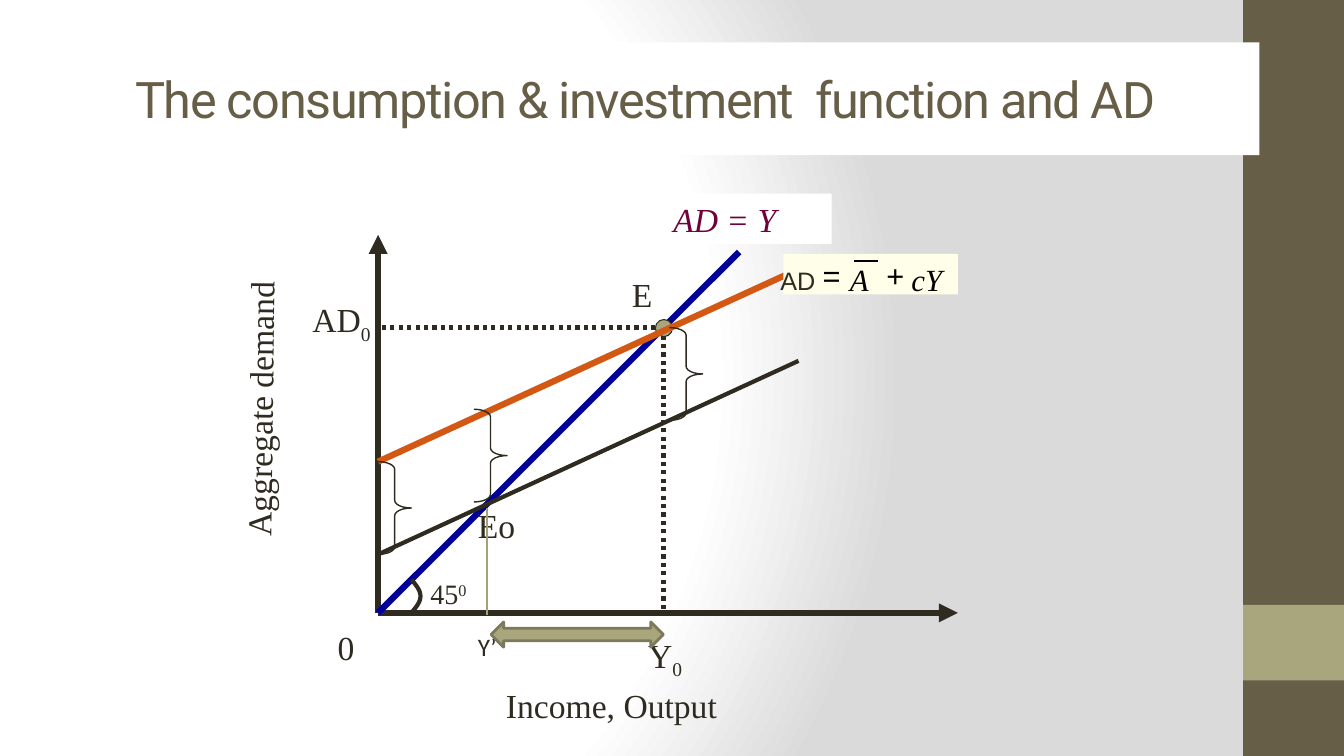
"""Build the slide on consumption, investment and aggregate demand."""
from math import pi, sin
from pptx import Presentation
from pptx.dml.color import RGBColor as RGB
from pptx.enum.dml import MSO_LINE as Dash
from pptx.enum.shapes import MSO_CONNECTOR as Conn, MSO_SHAPE as Kind
from pptx.enum.text import MSO_ANCHOR as Anchor, MSO_AUTO_SIZE as Grow, PP_ALIGN as Align
from pptx.oxml import parse_xml
from pptx.oxml.ns import nsdecls, qn
from pptx.util import Pt

PX = 9144
WHITE = RGB(0xFF, 0xFF, 0xFF)
BLACK = RGB(0, 0, 0)
INK = RGB(0x2F, 0x2B, 0x20)
BROWN = RGB(0x67, 0x5E, 0x47)
SAND = RGB(0xA9, 0xA5, 0x7C)
OLIVE = RGB(0x7D, 0x7A, 0x5C)
KHAKI = RGB(0xA6, 0xA2, 0x78)
NAVY = RGB(0, 0, 0x99)
ORANGE = RGB(0xD2, 0x58, 0x14)
PLUM = RGB(0x70, 0x02, 0x39)
CREAM = RGB(0xFF, 0xFF, 0xE9)
SERIF = "Times New Roman"


def emu(box):
    return [n * PX for n in box]


def shade(slide):
    slide._element.cSld.insert(0, parse_xml(
        f'<p:bg {nsdecls("p", "a")}><p:bgPr><a:gradFill rotWithShape="1"><a:gsLst>'
        f'<a:gs pos="0"><a:srgbClr val="FFFFFF"/></a:gs>'
        f'<a:gs pos="75000"><a:srgbClr val="FFFFFF"/></a:gs>'
        f'<a:gs pos="100000"><a:srgbClr val="DADADA"/></a:gs></a:gsLst>'
        f'<a:path path="circle"><a:fillToRect l="20000" t="50000" r="100000" b="50000"/>'
        f'</a:path></a:gradFill><a:effectLst/></p:bgPr></p:bg>'))


def paint(shape, fill=None, line=None, width=1):
    shape.shadow.inherit = False
    if fill is None:
        shape.fill.background()
    else:
        shape.fill.solid()
        shape.fill.fore_color.rgb = fill
    if line is None:
        shape.line.fill.background()
    else:
        shape.line.color.rgb = line
        shape.line.width = Pt(width)


def form(shapes, kind, box, **look):
    shape = shapes.add_shape(kind, *emu(box))
    paint(shape, **look)
    return shape


def brace(shapes, left, top):
    shape = form(shapes, Kind.RIGHT_BRACE, (left, top, 33, 92), line=INK)
    shape.adjustments[0] = 0.229


def stroke(shapes, ends, color=INK, width=3.0, dash=None, arrow=False):
    line = shapes.add_connector(Conn.STRAIGHT, *emu(ends))
    line.line.color.rgb = color
    line.line.width = Pt(width)
    if dash:
        line.line.dash_style = dash
    props = line._element.spPr
    if arrow:
        props.find(qn("a:ln")).append(parse_xml(f'<a:tailEnd {nsdecls("a")} type="triangle"/>'))
    props.append(parse_xml(f'<a:effectLst {nsdecls("a")}/>'))


def write(shape, text, size=24, face=SERIF, color=INK, slant=False,
          small="", base=0, pitch=0, wrap=True, inset=None, **frame):
    body = shape.text_frame
    look = {"word_wrap": wrap, "auto_size": Grow.SHAPE_TO_FIT_TEXT,
            "vertical_anchor": Anchor.TOP} | frame
    if inset is not None:
        look |= {f"margin_{side}": inset for side in ("left", "top", "right", "bottom")}
    for name, value in look.items():
        setattr(body, name, value)
    para = body.paragraphs[0]
    para.alignment = Align.LEFT
    for part, shift in ((text, 0), (small, base)):
        if not part:
            continue
        run = para.add_run()
        run.text = part
        for name, value in {"size": Pt(size), "name": face, "italic": slant}.items():
            setattr(run.font, name, value)
        run.font.color.rgb = color
        props = run._r.get_or_add_rPr()
        for name, value in {"baseline": shift * 1000, "spc": pitch}.items():
            if value:
                props.set(name, str(value))


def label(shapes, box, text, **look):
    shape = shapes.add_textbox(*emu(box))
    write(shape, text, **look)
    return shape


def angle(shapes):
    dots = [(round((408 + 9 * sin(pi * n / 20)) * PX), round((575 + 1.65 * n) * PX))
            for n in range(21)]
    pen = shapes.build_freeform(*dots[0])
    pen.add_line_segments(dots[1:], close=False)
    paint(pen.convert_to_shape(), line=INK, width=3)


def frame(shapes):
    form(shapes, Kind.RECTANGLE, (1233, 0, 100, 750), fill=BROWN)
    form(shapes, Kind.RECTANGLE, (1233, 600, 100, 75), fill=SAND)
    title = form(shapes, Kind.RECTANGLE, (31, 42, 1218, 112), fill=WHITE)
    write(title, "The consumption & investment  function and AD", size=36, face="Roboto",
          color=BROWN, pitch=-100, auto_size=Grow.NONE, vertical_anchor=Anchor.MIDDLE)
    title.text_frame.paragraphs[0].alignment = Align.CENTER


def axes(shapes):
    for end in ((375, 233), (950, 608)):
        stroke(shapes, (375, 608, *end), width=4.5, arrow=True)
    stroke(shapes, (375, 608, 733, 250), NAVY, 4.5)
    label(shapes, (492, 675, 442, 50), "Income, Output")
    label(shapes, (83, 342, 350, 50), "Aggregate demand").rotation = 270.7
    label(shapes, (325, 617, 67, 50), "0")
    angle(shapes)
    label(shapes, (417, 567, 67, 43), "45", size=20, small="0", base=30)
    write(form(shapes, Kind.RECTANGLE, (658, 192, 167, 50), fill=WHITE),
          "AD = Y", color=PLUM, slant=True)


def curves(shapes):
    form(shapes, Kind.OVAL, (650, 317, 17, 17), fill=SAND, line=INK, width=0.75)
    label(shapes, (300, 292, 92, 50), "AD", small="0", base=-25)
    label(shapes, (617, 267, 50, 50), "E")
    label(shapes, (633, 625, 58, 50), "Y", small="0", base=-25)
    stroke(shapes, (375, 550, 792, 358))
    stroke(shapes, (375, 458, 792, 267), ORANGE, 4.5)
    stroke(shapes, (658, 333, 658, 608), dash=Dash.ROUND_DOT)
    stroke(shapes, (650, 325, 375, 325), dash=Dash.ROUND_DOT)
    brace(shapes, 375, 458)


def formula(shapes):
    form(shapes, Kind.RECTANGLE, (777, 252, 173, 40), fill=CREAM)
    stroke(shapes, (847, 259, 871, 259), BLACK, 1.13)
    signs = {"size": 22, "color": BLACK}
    for box, text, look in (
            ((904, 259, 51, 41), "cY", signs | {"slant": True}),
            ((843, 259, 19, 37), "A", signs | {"slant": True}),
            ((774, 263, 35, 30), "AD", {"size": 18, "face": "Arial"}),
            ((879, 255, 42, 44), "+", signs | {"face": "Arial"}),
            ((816, 255, 42, 44), "=", signs | {"face": "Arial"})):
        label(shapes, box, text, wrap=False, inset=0, **look)


def shift(shapes):
    brace(shapes, 664, 325)
    label(shapes, (464, 496, 61, 50), "Eo")
    stroke(shapes, (483, 504, 483, 610), KHAKI, 1)
    label(shapes, (464, 621, 39, 40), "Y’", size=18, face="Calibri", wrap=False)
    brace(shapes, 470, 406)
    form(shapes, Kind.LEFT_RIGHT_ARROW, (487, 617, 171, 25), fill=SAND, line=OLIVE, width=2)


def main():
    deck = Presentation()
    deck.slide_width, deck.slide_height = emu((1333, 750))
    slide = deck.slides.add_slide(deck.slide_layouts[6])
    shade(slide)
    shapes = slide.shapes
    frame(shapes)
    axes(shapes)
    curves(shapes)
    formula(shapes.add_group_shape().shapes)
    shift(shapes)
    deck.save("out.pptx")


if __name__ == "__main__":
    main()
